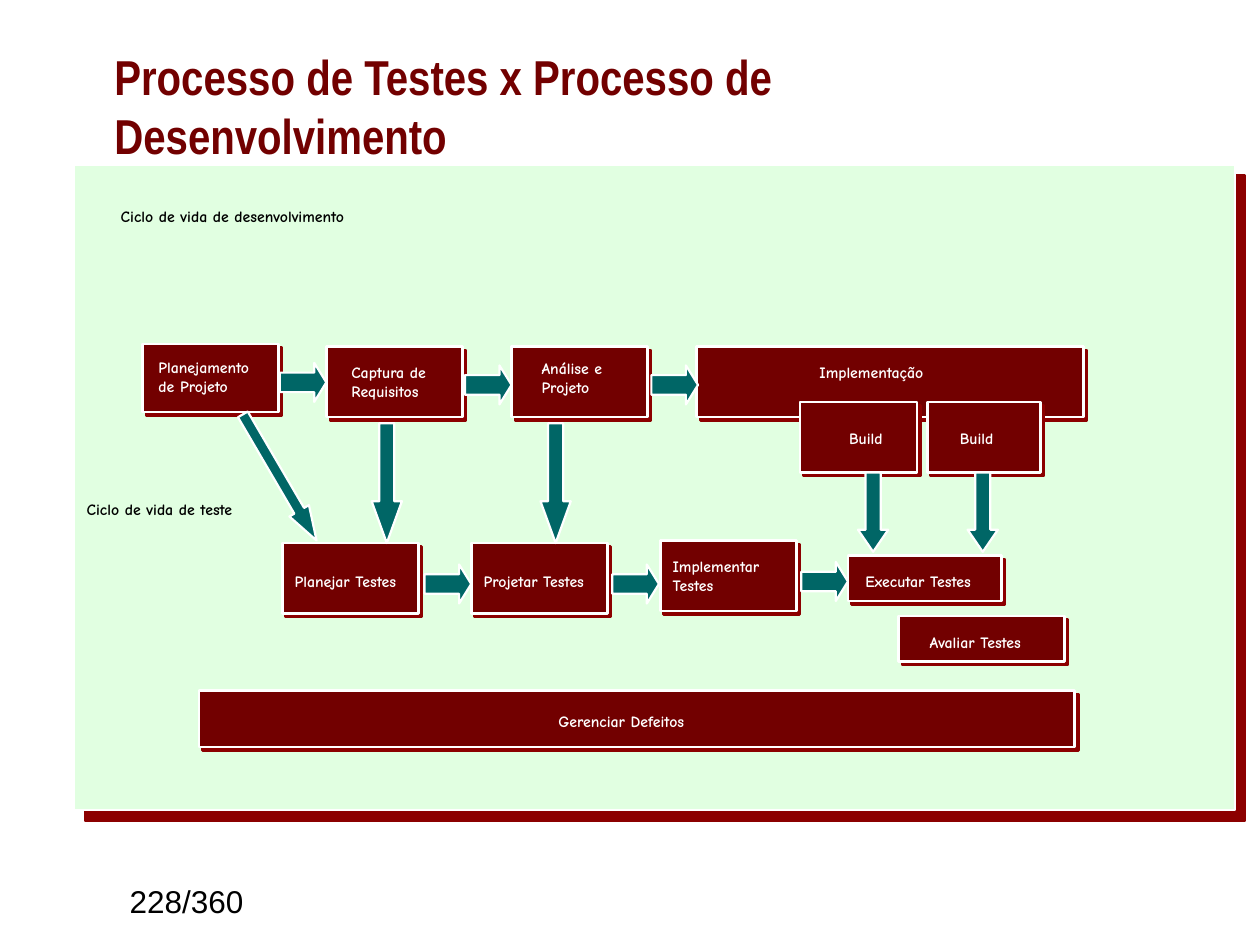
from lxml.etree import SubElement
from pptx import Presentation
from pptx.dml.color import RGBColor
from pptx.enum.shapes import MSO_SHAPE as Shape
from pptx.enum.text import MSO_ANCHOR as Anchor, PP_ALIGN as Align
from pptx.oxml.ns import qn
from pptx.util import Inches, Pt

WINE, SHADE, MINT, TEAL = "720000", "8C0000", "E1FFE1", "006666"
WHITE, BLACK = "FFFFFF", "000000"
HAND = "Comic Neue"

TITLE = "Processo de Testes x Processo de Desenvolvimento"
PAGE = "228/360"
PANEL = (0.59, 1.31, 9.21, 5.12)

# Steps: text, box (left, top, width, height), label (left, top, width)
STEPS = [
    ("Planejamento\nde Projeto", (1.13, 2.73, 1.08, 0.54), (1.16, 2.79, 1.13)),
    ("Captura de\nRequisitos", (2.59, 2.75, 1.08, 0.56), (2.69, 2.83, 0.94)),
    ("Análise e\nProjeto", (4.06, 2.75, 1.08, 0.56), (4.2, 2.8, 0.87)),
    ("Implementação", (5.53, 2.75, 3.07, 0.56), (5.56, 2.83, 2.71)),
    ("Build", (6.35, 3.19, 0.93, 0.56), (6.64, 3.35, 0.53)),
    ("Build", (7.36, 3.19, 0.9, 0.56), (7.52, 3.35, 0.53)),
    ("Planejar Testes", (2.24, 4.31, 1.08, 0.56), (2.24, 4.49, 1.24)),
    ("Projetar Testes", (3.74, 4.31, 1.08, 0.56), (3.74, 4.49, 1.26)),
    ("Implementar\nTestes", (5.24, 4.29, 1.08, 0.56), (5.24, 4.37, 1.1)),
    ("Executar Testes", (6.73, 4.41, 1.22, 0.36), (6.77, 4.49, 1.3)),
    ("Avaliar Testes", (7.13, 4.89, 1.32, 0.36), (7.28, 4.97, 1.17)),
    ("Gerenciar Defeitos", (1.58, 5.48, 6.95, 0.45), (1.86, 5.6, 6.14)),
]
CENTRED = {"Implementação", "Gerenciar Defeitos"}
CYCLES = [
    ("Ciclo de vida de desenvolvimento", (0.86, 1.59, 2.98, 0.25)),
    ("Ciclo de vida de teste", (0.59, 3.92, 1.63, 0.25)),
]

# Arrows: left and top of those between steps; left, top, height, head of the rest
ACROSS = [(2.22, 2.88), (3.69, 2.9), (5.17, 2.9),
          (3.37, 4.48), (4.86, 4.48), (6.36, 4.46)]
DOWN = [(7.68, 3.75, 0.63, 0.73), (6.81, 3.75, 0.63, 0.73),
        (2.95, 3.36, 0.95, 1.38), (4.29, 3.36, 0.95, 1.38)]

deck = Presentation()
deck.slide_width, deck.slide_height = Inches(10), Inches(7.5)
slide = deck.slides.add_slide(deck.slide_layouts[6])


def color(code):
    return RGBColor.from_string(code)


def write(text, at, font=HAND, size=9, ink=WHITE, bold=True,
          align=Align.LEFT, anchor=Anchor.TOP):
    frame = slide.shapes.add_textbox(*map(Inches, at)).text_frame
    frame.word_wrap = True
    frame.vertical_anchor = anchor
    frame.text = text
    for para in frame.paragraphs:
        para.alignment = align
        para.font.name, para.font.size = font, Pt(size)
        para.font.bold = bold
        para.font.color.rgb = color(ink)


def draw(kind, at, fill, line=1.25, drop=0):
    shape = slide.shapes.add_shape(kind, *map(Inches, at))
    shape.shadow.inherit = False
    shape.fill.solid()
    shape.fill.fore_color.rgb = color(fill)
    shape.line.color.rgb = color(WHITE)
    shape.line.width = Pt(line)
    if drop:  # hard shadow towards the lower right
        effects = shape.element.spPr.find(qn("a:effectLst"))
        shadow = SubElement(effects, qn("a:outerShdw"), blurRad="0",
                            dist=str(Pt(drop)), dir="2700000",
                            algn="ctr", rotWithShape="0")
        SubElement(shadow, qn("a:srgbClr"), val=SHADE)
    return shape


def arrow(kind, at, head):
    shape = draw(kind, at, TEAL)
    shape.adjustments[0], shape.adjustments[1] = 0.5, head
    return shape


# Title and panel
write(TITLE, (0.81, 0.21, 7.97, 1.25), font="Arial Narrow", size=28,
      ink=WINE, anchor=Anchor.MIDDLE)
draw(Shape.RECTANGLE, PANEL, MINT, drop=8.5)

# Steps with their labels
for text, box, (left, top, width) in STEPS:
    draw(Shape.RECTANGLE, box, WINE, line=1.5, drop=2.8)
    high = 0.45 if "\n" in text else 0.28
    write(text, (left, top, width, high),
          align=Align.CENTER if text in CENTRED else Align.LEFT)

for text, at in CYCLES:
    write(text, at, ink=BLACK)

# Arrows
for left, top in ACROSS:
    arrow(Shape.RIGHT_ARROW, (left, top, 0.37, 0.31), 0.31)
arrow(Shape.RIGHT_ARROW, (1.64, 3.7, 1.16, 0.18), 1.52).rotation = 59.7
for left, top, high, head in DOWN:
    arrow(Shape.DOWN_ARROW, (left, top, 0.24, high), head)

# Page number
write(PAGE, (0.86, 6.95, 1.17, 0.39), font="Arial", size=18, ink=BLACK,
      bold=False, align=Align.RIGHT)

deck.save("out.pptx")
